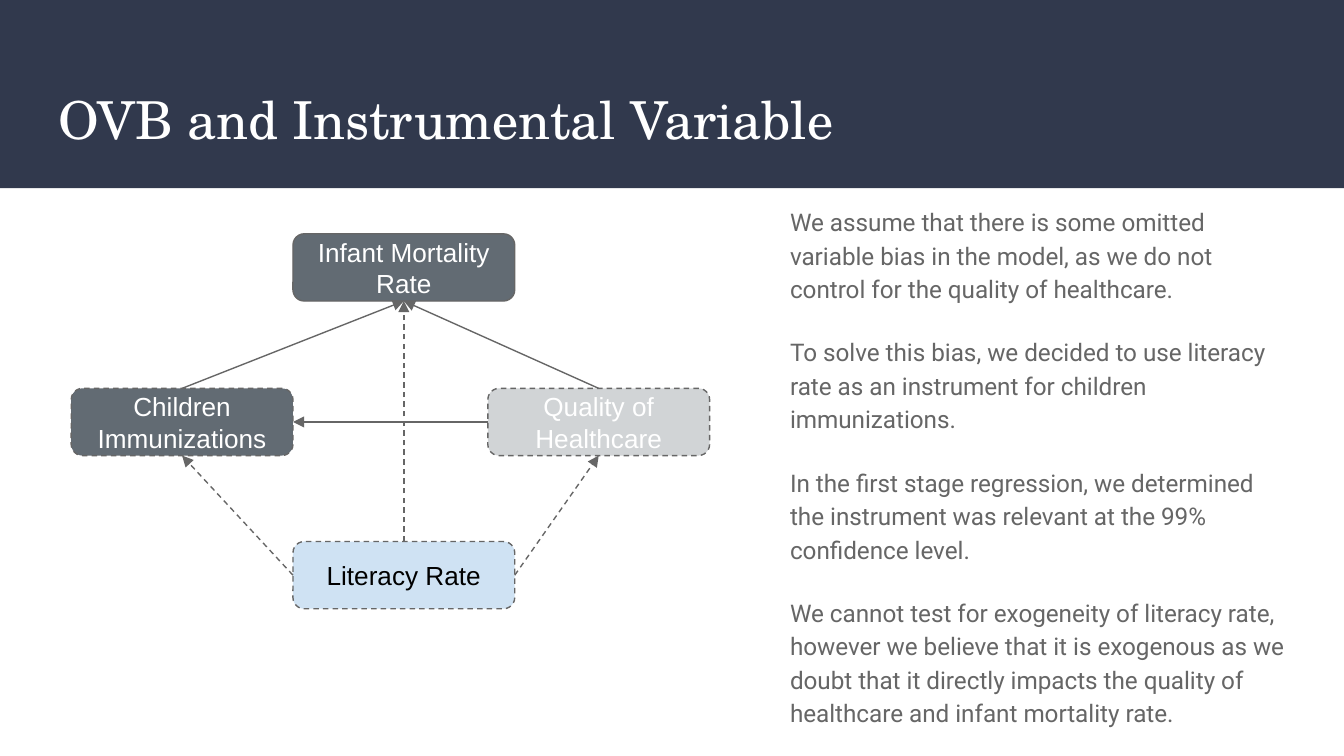
from lxml.etree import SubElement
from pptx import Presentation
from pptx.dml.color import RGBColor
from pptx.enum.dml import MSO_LINE
from pptx.enum.shapes import MSO_CONNECTOR, MSO_SHAPE
from pptx.enum.text import MSO_ANCHOR, PP_ALIGN
from pptx.oxml.ns import qn
from pptx.util import Inches, Pt

NAVY = RGBColor(0x31, 0x39, 0x4D)
SLATE = RGBColor(0x62, 0x6B, 0x73)
GRAY = RGBColor(0x66, 0x66, 0x66)
PALE_BLUE = RGBColor(0xCF, 0xE2, 0xF3)
WHITE = RGBColor(0xFF, 0xFF, 0xFF)
BLACK = RGBColor(0x00, 0x00, 0x00)

TOP, LEFT, BOTTOM, RIGHT = range(4)  # connection sites
NODE_W, NODE_H = 1.65, 0.5


class SlideBuilder:
    """Holds the style and the current slide."""

    title_font, body_font, node_font = "TeX Gyre Schola", "Roboto", "Arial"

    def __init__(self, slide):
        self.slide = slide

    def set_margins(self, tf):
        tf.word_wrap = True
        tf.margin_left = tf.margin_right = Inches(0.1)
        tf.margin_top = tf.margin_bottom = Inches(0.1)

    def set_font(self, p, name, size, color):
        p.font.name = name
        p.font.size = Pt(size)
        p.font.color.rgb = color

    def set_line(self, line, dashed):
        line.color.rgb = GRAY
        line.width = Pt(0.75)
        if dashed:
            line.dash_style = MSO_LINE.DASH

    def shape(self, kind, x, y, w, h, fill):
        sp = self.slide.shapes.add_shape(
            kind, Inches(x), Inches(y), Inches(w), Inches(h))
        sp.shadow.inherit = False
        sp.fill.solid()
        sp.fill.fore_color.rgb = fill
        return sp

    def band(self, w, h):
        sp = self.shape(MSO_SHAPE.RECTANGLE, 0, 0, w, h, NAVY)
        sp.line.fill.background()

    def text(self, x, y, w, h, paragraphs, font, size, color,
             spacing=None, gap=0):
        box = self.slide.shapes.add_textbox(
            Inches(x), Inches(y), Inches(w), Inches(h))
        tf = box.text_frame
        self.set_margins(tf)
        for i, words in enumerate(paragraphs):
            p = tf.add_paragraph() if i else tf.paragraphs[0]
            p.text = words
            p.line_spacing = spacing
            if i:
                p.space_before = Pt(gap)
            self.set_font(p, font, size, color)

    def node(self, x, y, words, fill, color=WHITE, dashed=True, alpha=None):
        sp = self.shape(MSO_SHAPE.ROUNDED_RECTANGLE, x, y, NODE_W, NODE_H, fill)
        self.set_line(sp.line, dashed)
        if alpha is not None:
            clr = sp._element.spPr.find(qn("a:solidFill"))[0]
            SubElement(clr, qn("a:alpha"), val=str(alpha * 1000))
        tf = sp.text_frame
        self.set_margins(tf)
        tf.vertical_anchor = MSO_ANCHOR.MIDDLE
        p = tf.paragraphs[0]
        p.text = words
        p.alignment = PP_ALIGN.CENTER
        self.set_font(p, self.node_font, 14, color)
        return sp

    def arrow(self, start, start_site, end, end_site, dashed=False):
        cxn = self.slide.shapes.add_connector(MSO_CONNECTOR.STRAIGHT, 0, 0, 0, 0)
        cxn.begin_connect(start, start_site)
        cxn.end_connect(end, end_site)
        self.set_line(cxn.line, dashed)
        spPr = cxn._element.spPr
        SubElement(spPr.find(qn("a:ln")), qn("a:tailEnd"), type="triangle")
        SubElement(spPr, qn("a:effectLst"))


def main():
    prs = Presentation()
    prs.slide_width = Inches(10)
    prs.slide_height = prs.slide_width * 9 // 16
    s = SlideBuilder(prs.slides.add_slide(prs.slide_layouts[6]))

    # Title band
    s.band(10, 1.4)
    s.text(0.34, 0.55, 9.32, 0.68, ["OVB and Instrumental Variable"],
           s.title_font, 28, WHITE)

    # Explanation
    s.text(5.78, 1.41, 3.88, 4.22, [
        "We assume that there is some omitted variable bias in the model, "
        "as we do not control for the quality of healthcare.",
        "To solve this bias, we decided to use literacy rate as an "
        "instrument for children immunizations.",
        "In the first stage regression, we determined the instrument was "
        "relevant at the 99% confidence level.",
        "We cannot test for exogeneity of literacy rate, however we believe "
        "that it is exogenous as we doubt that it directly impacts the "
        "quality of healthcare and infant mortality rate.",
    ], s.body_font, 13, GRAY, spacing=1.15, gap=16)

    # Causal diagram: nodes
    mortality = s.node(2.18, 1.74, "Infant Mortality Rate", SLATE, dashed=False)
    immunizations = s.node(0.53, 2.89, "Children Immunizations", SLATE)
    healthcare = s.node(3.63, 2.89, "Quality of Healthcare", SLATE, alpha=29)
    literacy = s.node(2.18, 4.03, "Literacy Rate", PALE_BLUE, BLACK)

    # Causal diagram: effects
    s.arrow(immunizations, TOP, mortality, BOTTOM)
    s.arrow(healthcare, TOP, mortality, BOTTOM)
    s.arrow(healthcare, LEFT, immunizations, RIGHT)

    # Causal diagram: instrument paths
    s.arrow(literacy, LEFT, immunizations, BOTTOM, dashed=True)
    s.arrow(literacy, TOP, mortality, BOTTOM, dashed=True)
    s.arrow(literacy, RIGHT, healthcare, BOTTOM, dashed=True)

    prs.save("out.pptx")


if __name__ == "__main__":
    main()
